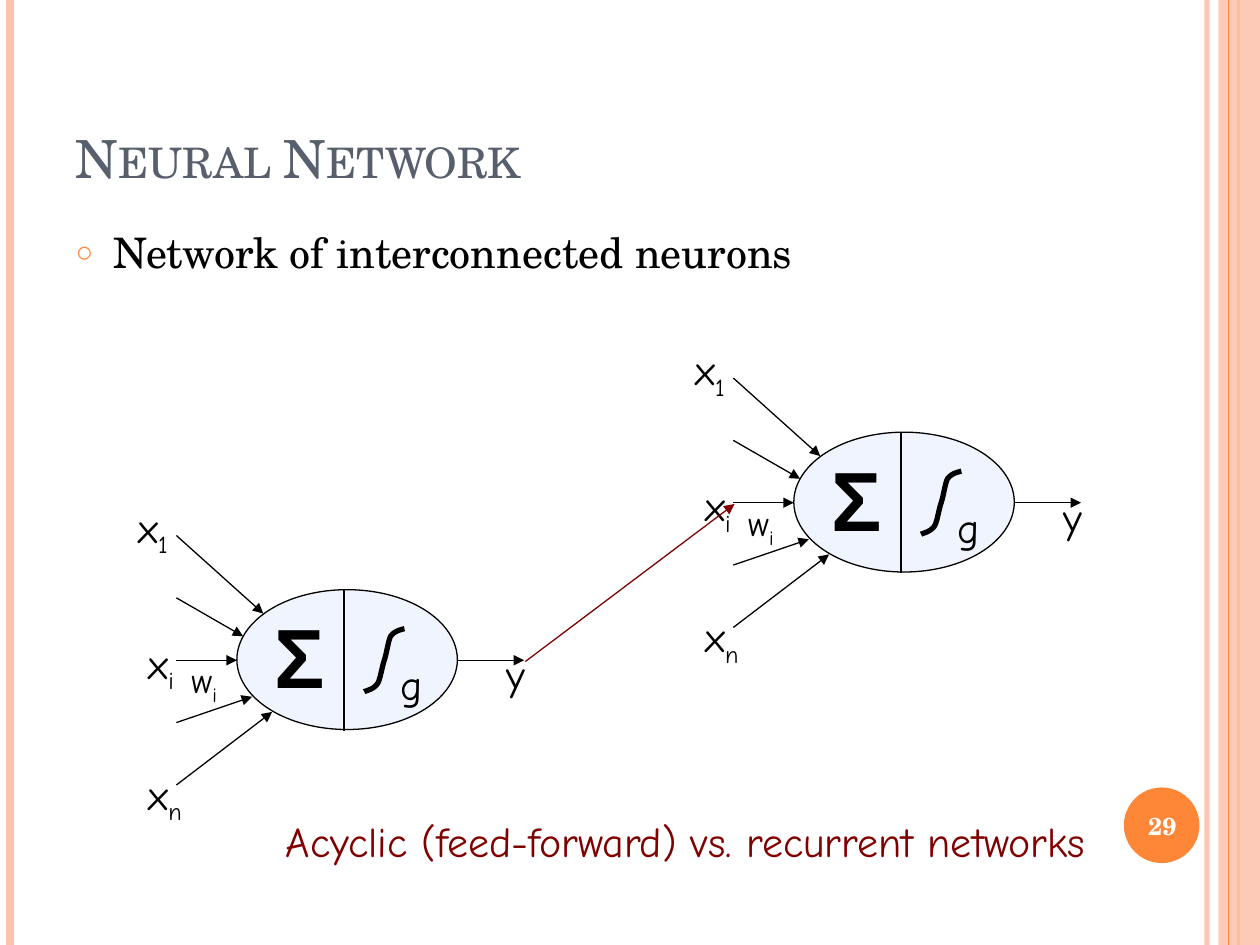
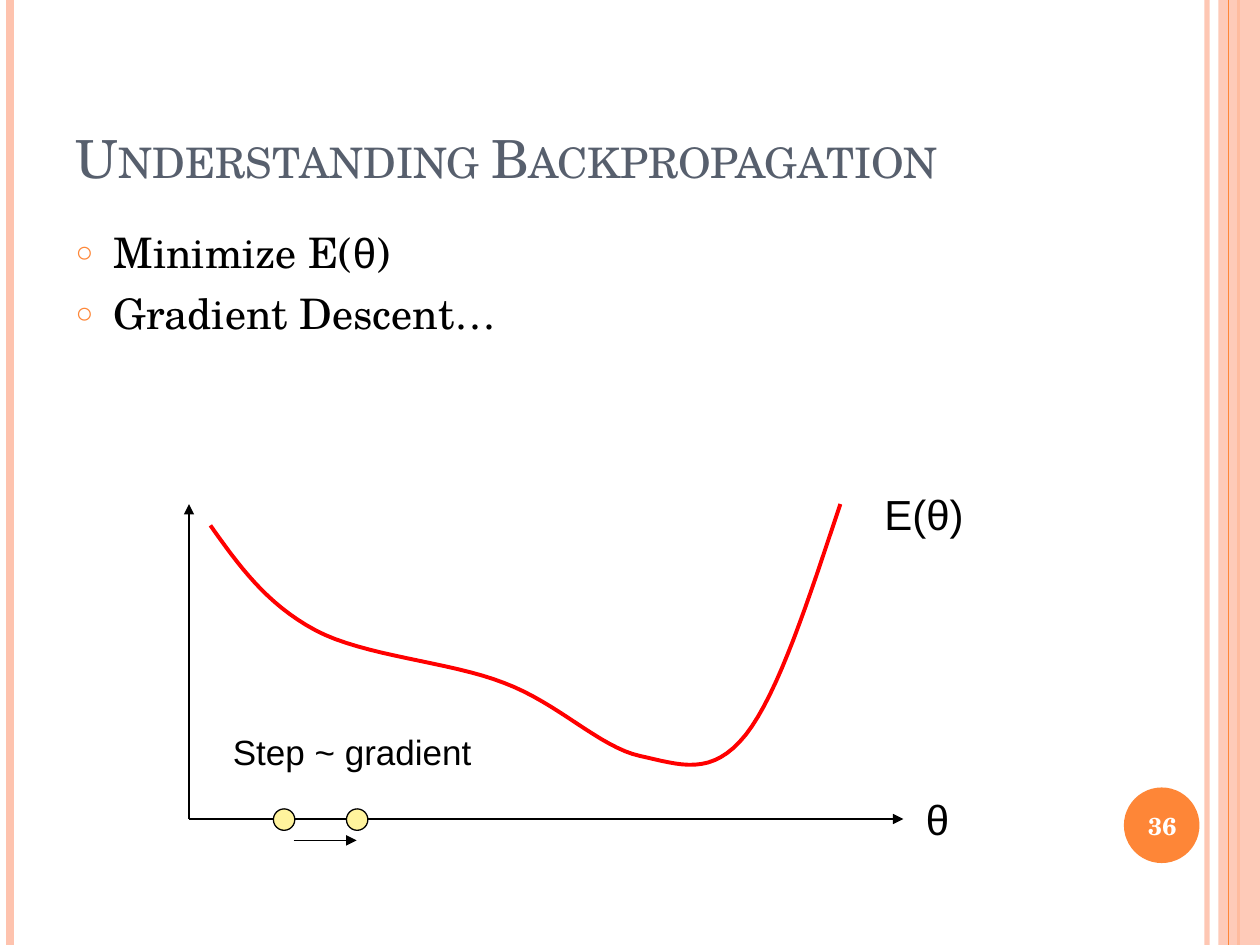
from lxml.etree import SubElement
from pptx import Presentation
from pptx.dml.color import RGBColor
from pptx.enum.shapes import MSO_CONNECTOR, MSO_SHAPE
from pptx.enum.text import MSO_ANCHOR, MSO_AUTO_SIZE, PP_ALIGN
from pptx.oxml.ns import qn
from pptx.util import Inches, Pt

PEACH = RGBColor(0xFE, 0xC3, 0xAE)
ORANGE = RGBColor(0xFE, 0x86, 0x37)
SLATE = RGBColor(0x57, 0x5F, 0x6D)
BLACK = RGBColor(0, 0, 0)
WHITE = RGBColor(0xFF, 0xFF, 0xFF)
MAROON = RGBColor(0x80, 0, 0)
RED = RGBColor(0xFF, 0, 0)
PALE_BLUE = RGBColor(0xF0, 0xF4, 0xFE)
YELLOW = RGBColor(0xFF, 0xF3, 0x9D)
SERIF, SANS, HAND = "TeX Gyre Schola", "Arial", "Comic Neue"
CURVE_STEPS = 16


def add_line(shapes, start, end, color=BLACK, width=0.75, arrow=False):
    line = shapes.add_connector(
        MSO_CONNECTOR.STRAIGHT, *[Inches(value) for value in (*start, *end)])
    line.line.color.rgb = color
    line.line.width = Pt(width)
    if arrow:
        SubElement(line.line._get_or_add_ln(), qn("a:tailEnd"), type="triangle")
    SubElement(line._element.spPr, qn("a:effectLst"))
    return line


def add_text(shapes, place, text, size, font=HAND, color=BLACK, subscript="", wrap=False):
    box = shapes.add_textbox(*[Inches(value) for value in place])
    box.text_frame.word_wrap = wrap
    box.text_frame.auto_size = MSO_AUTO_SIZE.SHAPE_TO_FIT_TEXT
    paragraph = box.text_frame.paragraphs[0]
    paragraph.text = text
    if subscript:
        run = paragraph.add_run()
        run.text = subscript
        run._r.get_or_add_rPr().set("baseline", "-25000")
    for run in paragraph.runs:
        run.font.name = font
        run.font.size = Pt(size)
        run.font.color.rgb = color
    return box


presentation = Presentation()
presentation.slide_width = Inches(10)
presentation.slide_height = Inches(7.5)

contents = [
    ("Neural Network", "29", [[("Network of interconnected neurons", SERIF)]]),
    ("Understanding Backpropagation", "36", [
        [("Minimize E(", SERIF), ("θ", SANS), (")", SERIF)],
        [("Gradient Descent…", SERIF)]]),
]
for title_text, number, bullets in contents:
    slide = presentation.slides.add_slide(presentation.slide_layouts[1])
    shapes = slide.shapes

    stripe = add_line(shapes, (9.58, 0), (9.58, 7.5), PEACH, 3)
    add_line(shapes, (0.08, 0), (0.08, 7.5), PEACH, 4.5)
    add_line(shapes, (9.83, 0), (9.83, 7.5), ORANGE, 1.5)
    band = shapes.add_shape(
        MSO_SHAPE.RECTANGLE, Inches(9.67), 0, Inches(0.33), Inches(7.5))
    badge = shapes.add_shape(
        MSO_SHAPE.OVAL, Inches(8.92), Inches(6.25), Inches(0.6), Inches(0.6))
    for shape, color in ((band, PEACH), (badge, ORANGE)):
        shape.shadow.inherit = False
        shape.fill.solid()
        shape.fill.fore_color.rgb = color
        shape.line.fill.background()
    for shape, alpha in ((stripe, "93000"), (band, "87000")):
        color_element = shape._element.spPr.find(".//" + qn("a:srgbClr"))
        SubElement(color_element, qn("a:alpha"), val=alpha)
    add_line(shapes, (9.75, 0), (9.75, 7.5), ORANGE)

    page_number = add_text(
        shapes, (8.89, 6.27, 0.67, 0.57), number, 14, SERIF, WHITE, wrap=True)
    page_number.text_frame.auto_size = MSO_AUTO_SIZE.NONE
    page_number.text_frame.vertical_anchor = MSO_ANCHOR.MIDDLE
    page_number.text_frame.paragraphs[0].alignment = PP_ALIGN.CENTER
    page_number.text_frame.paragraphs[0].runs[0].font.bold = True

    title, body = shapes.title, slide.placeholders[1]
    for placeholder, top, height in ((title, 0.3, 1.25), (body, 1.75, 5.33)):
        placeholder.left, placeholder.width = Inches(0.5), Inches(8.17)
        placeholder.top, placeholder.height = Inches(top), Inches(height)
        placeholder.text_frame.auto_size = MSO_AUTO_SIZE.NONE

    title.text_frame.text = title_text
    title.text_frame.vertical_anchor = MSO_ANCHOR.BOTTOM
    paragraph = title.text_frame.paragraphs[0]
    paragraph.alignment = PP_ALIGN.LEFT
    run = paragraph.runs[0]
    run.font.name = SERIF
    run.font.size = Pt(30)
    run.font.color.rgb = SLATE
    run._r.get_or_add_rPr().set("cap", "small")

    for index, bullet in enumerate(bullets):
        frame = body.text_frame
        paragraph = frame.add_paragraph() if index else frame.paragraphs[0]
        paragraph.space_before = Pt(6)
        properties = paragraph._p.get_or_add_pPr()
        properties.set("marL", str(Inches(0.3)))
        properties.set("indent", str(Inches(-0.3)))
        bullet_color = SubElement(properties, qn("a:buClr"))
        SubElement(bullet_color, qn("a:srgbClr"), val=str(ORANGE))
        SubElement(properties, qn("a:buSzPct"), val="70000")
        SubElement(properties, qn("a:buChar"), char="○")
        for text, font in bullet:
            run = paragraph.add_run()
            run.text = text
            run.font.name = font
            run.font.size = Pt(24)
            run.font.color.rgb = BLACK

network_slide, descent_slide = presentation.slides
curves = []

input_tips = [(2.09, 4.87), (1.93, 5.05), (1.88, 5.24), (2, 5.53), (2.16, 5.65)]
labels = [
    (3.08, 5.18, 0.38, 0.5, "g", "", 24),
    (1.08, 5.01, 0.46, 0.5, "x", "i", 24),
    (1, 3.93, 0.5, 0.5, "x", "1", 24),
    (1.08, 6.05, 0.51, 0.5, "x", "n", 24),
    (3.92, 5.1, 0.38, 0.5, "y", "", 24),
    (1.42, 5.18, 0.44, 0.43, "w", "i", 20),
]
sigmoid = [
    (3.21, 4.99), (3.17, 5), (3.13, 5.01), (3.1, 5.05), (3.08, 5.09),
    (3.07, 5.18), (3.05, 5.24), (3.03, 5.3), (3.02, 5.38), (3, 5.42),
    (2.97, 5.47), (2.91, 5.48), (2.89, 5.49),
]
for dx, dy in ((0, 0), (4.42, -1.25)):
    shapes = network_slide.shapes.add_group_shape().shapes
    cell = shapes.add_shape(
        MSO_SHAPE.OVAL, Inches(1.88 + dx), Inches(4.68 + dy), Inches(1.75), Inches(1.11))
    cell.shadow.inherit = False
    cell.fill.solid()
    cell.fill.fore_color.rgb = PALE_BLUE
    cell.line.color.rgb = BLACK
    cell.line.width = Pt(0.75)
    add_line(shapes, (2.73 + dx, 4.68 + dy), (2.73 + dx, 5.8 + dy))
    curves.append((shapes, [(x + dx, y + dy) for x, y in sigmoid], BLACK, 3))
    total = add_text(shapes, (2.08 + dx, 4.75 + dy, 0.6, 0.9), "Σ", 48, SANS)
    total.text_frame.paragraphs[0].runs[0].font.bold = True
    for index, (x, y) in enumerate(input_tips):
        add_line(shapes, (1.4 + dx, 4.25 + 0.495 * index + dy), (x + dx, y + dy), arrow=True)
    add_line(shapes, (3.63 + dx, 5.24 + dy), (4.16 + dx, 5.24 + dy), arrow=True)
    for x, y, width, height, text, subscript, size in labels:
        add_text(shapes, (x + dx, y + dy, width, height), text, size, subscript=subscript)

shapes = network_slide.shapes
add_line(shapes, (4.17, 5.25), (5.83, 4), MAROON, arrow=True)
add_text(shapes, (2.17, 6.42, 7.43, 0.5),
         "Acyclic (feed-forward) vs. recurrent networks", 24, color=MAROON)

shapes = descent_slide.shapes
for start, end in (((1.5, 6.5), (7.17, 6.5)), ((1.5, 6.5), (1.5, 4)),
                   ((2.33, 6.67), (2.83, 6.67))):
    add_line(shapes, start, end, arrow=True)
error_curve = [
    (1.67, 4.17), (1.89, 4.48), (2.11, 4.79), (2.5, 5), (2.89, 5.21),
    (3.57, 5.25), (4, 5.42), (4.43, 5.58), (4.76, 5.93), (5.08, 6),
    (5.4, 6.07), (5.65, 6.17), (5.92, 5.83), (6.18, 5.5), (6.42, 4.75), (6.67, 4),
]
curves.append((shapes, error_curve, RED, 2.25))
for place, text, size in (((6.92, 3.83, 1.08, 0.5), "E(θ)", 24),
                          ((7.25, 6.25, 1.08, 0.5), "θ", 24),
                          ((1.75, 5.75, 2.67, 0.43), "Step ~ gradient", 20)):
    add_text(shapes, place, text, size, SANS, wrap=True)
for left in (2.17, 2.75):
    dot = shapes.add_shape(
        MSO_SHAPE.OVAL, Inches(left), Inches(6.42), Inches(0.17), Inches(0.17))
    dot.shadow.inherit = False
    dot.fill.solid()
    dot.fill.fore_color.rgb = YELLOW
    dot.line.color.rgb = BLACK
    dot.line.width = Pt(0.75)

for shapes, points, color, width in curves:
    vertices = []
    for first in range(0, len(points) - 1, 3):
        controls = points[first:first + 4]
        for step in range(1, CURVE_STEPS + 1):
            t = step / CURVE_STEPS
            weights = ((1 - t) ** 3, 3 * t * (1 - t) ** 2, 3 * t ** 2 * (1 - t), t ** 3)
            vertices.append([
                Inches(sum(weight * point[axis] for weight, point in zip(weights, controls)))
                for axis in (0, 1)])
    builder = shapes.build_freeform(*[Inches(value) for value in points[0]])
    builder.add_line_segments(vertices, close=False)
    curve = builder.convert_to_shape()
    curve.shadow.inherit = False
    curve.fill.background()
    curve.line.color.rgb = color
    curve.line.width = Pt(width)

presentation.save("out.pptx")
